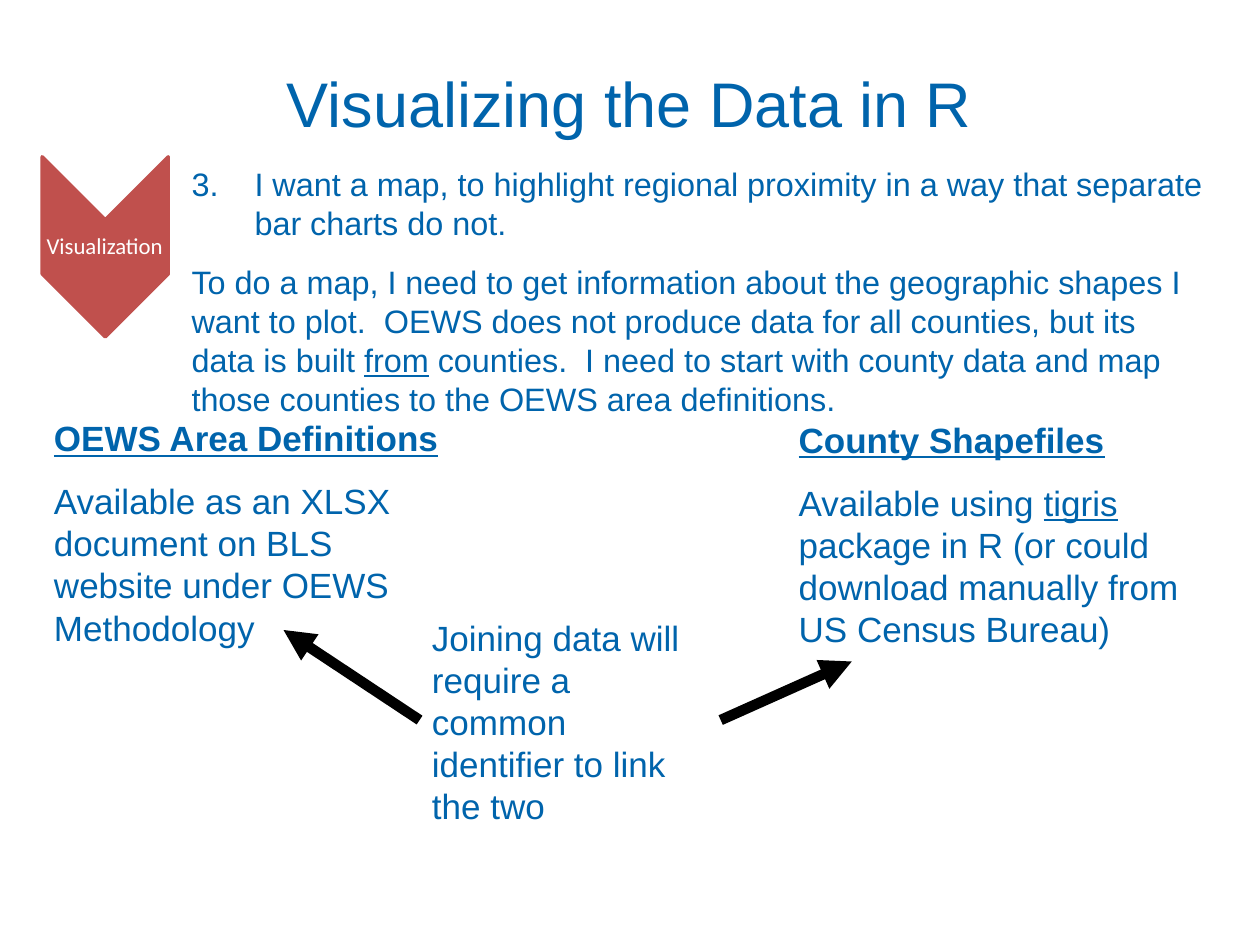
from lxml import etree
from pptx import Presentation, util as u
from pptx.dml.color import RGBColor
from pptx.enum import shapes, text
from pptx.oxml.ns import qn

BLUE, RED, WHITE, BLACK = "0064AC", "C0504D", "FFFFFF", "000000"
TITLE = "Visualizing the Data in R"
STAGE = "Visualization"
BODY = [
    [("I want a map, to highlight regional proximity in a way that separate bar charts do not.", "")],
    [("To do a map, I need to get information about the geographic shapes I want to plot.  "
      "OEWS does not produce data for all counties, but its data is built ", ""),
     ("from", "u"),
     (" counties.  I need to start with county data and map those counties to the OEWS area definitions.", "")],
]
NOTES = {
    "areas": ((0.33, 3.26, 3.42, 3.15), [
        [("OEWS Area Definitions", "bu")],
        [("Available as an XLSX document on BLS website under OEWS Methodology", "")]]),
    "counties": ((6.24, 3.27, 3.42, 3.15), [
        [("County Shapefiles", "bu")],
        [("Available using ", ""), ("tigris", "u"),
         (" package in R (or could download manually from US Census Bureau)", "")]]),
    "join": ((3.33, 4.84, 2.39, 1.75), [
        [("Joining data will require a common identifier to link the two", "")]]),
}
ARROWS = [(1, (3.33, 5.72), (2.25, 5)), (3, (5.72, 5.72), (6.76, 5.25))]


def color(value):
    return RGBColor.from_string(value)


def inches(values):
    return [u.Inches(value) for value in values]


def place(shape, box):
    shape.left, shape.top, shape.width, shape.height = inches(box)


def style(paragraph, size, value=BLUE, name="Arial"):
    paragraph.font.size, paragraph.font.name = u.Pt(size), name
    paragraph.font.color.rgb = color(value)


def write(frame, paragraphs, size):
    frame.word_wrap = True
    frame.auto_size = text.MSO_AUTO_SIZE.NONE
    for index, runs in enumerate(paragraphs):
        paragraph = frame.add_paragraph() if index else frame.paragraphs[0]
        style(paragraph, size)
        paragraph.space_before, paragraph.space_after = u.Pt(0), u.Pt(12)
        for words, marks in runs:
            run = paragraph.add_run()
            run.text = words
            if "b" in marks:
                run.font.bold = True
            if "u" in marks:
                run.font.underline = True


def set_bullet(paragraph, hanging, tag, **attributes):
    properties = paragraph._p.get_or_add_pPr()
    properties.set("marL", str(u.Inches(hanging)))
    properties.set("indent", str(-u.Inches(hanging)))
    etree.SubElement(properties, qn(tag), attributes)


def add_title_and_body(slide):
    title, body = slide.placeholders
    place(title, (0.33, 0.08, 9.33, 1.08))
    title.text_frame.text = TITLE
    title.text_frame.vertical_anchor = text.MSO_ANCHOR.BOTTOM
    style(title.text_frame.paragraphs[0], 36)
    place(body, (1.42, 1.25, 8.25, 2.08))
    write(body.text_frame, BODY, 18.5)
    numbered, plain = body.text_frame.paragraphs
    set_bullet(numbered, 0.5, "a:buAutoNum", type="arabicPeriod", startAt="3")
    set_bullet(plain, 0, "a:buNone")


def add_stage(slide):
    chevron = slide.shapes.add_shape(shapes.MSO_SHAPE.CHEVRON, *inches((0.12, 1.46, 1.43, 1)))
    chevron.rotation = 90
    chevron.shadow.inherit = False
    chevron.fill.solid()
    chevron.fill.fore_color.rgb = color(RED)
    chevron.line.color.rgb = color(RED)
    chevron.line.width = u.Pt(2)
    frame = slide.shapes.add_textbox(*inches((0.33, 1.75, 1, 0.43))).text_frame
    frame.word_wrap = True
    frame.vertical_anchor = text.MSO_ANCHOR.MIDDLE
    frame.margin_left = frame.margin_right = frame.margin_top = frame.margin_bottom = u.Inches(0.01)
    paragraph = frame.paragraphs[0]
    paragraph.text = STAGE
    paragraph.alignment = text.PP_ALIGN.CENTER
    paragraph.line_spacing = 0.9
    style(paragraph, 13, WHITE, "Calibri")


def add_arrow(slide, source, site, start, end):
    arrow = slide.shapes.add_connector(shapes.MSO_CONNECTOR.STRAIGHT, *inches(start + end))
    arrow.begin_connect(source, site)
    arrow.line.color.rgb = color(BLACK)
    arrow.line.width = u.Pt(6)
    etree.SubElement(arrow.line._get_or_add_ln(), qn("a:tailEnd"), type="triangle")
    etree.SubElement(arrow._element.spPr, qn("a:effectLst"))


def main():
    """Build the slide on joining area definitions with county shapefiles."""
    presentation = Presentation()
    presentation.slide_width, presentation.slide_height = inches((10, 7.5))
    slide = presentation.slides.add_slide(presentation.slide_layouts[1])
    add_title_and_body(slide)
    add_stage(slide)
    boxes = {}
    for name, (box, paragraphs) in NOTES.items():
        boxes[name] = slide.shapes.add_textbox(*inches(box))
        write(boxes[name].text_frame, paragraphs, 20)
    for site, start, end in ARROWS:
        add_arrow(slide, boxes["join"], site, start, end)
    presentation.save("out.pptx")


if __name__ == "__main__":
    main()
